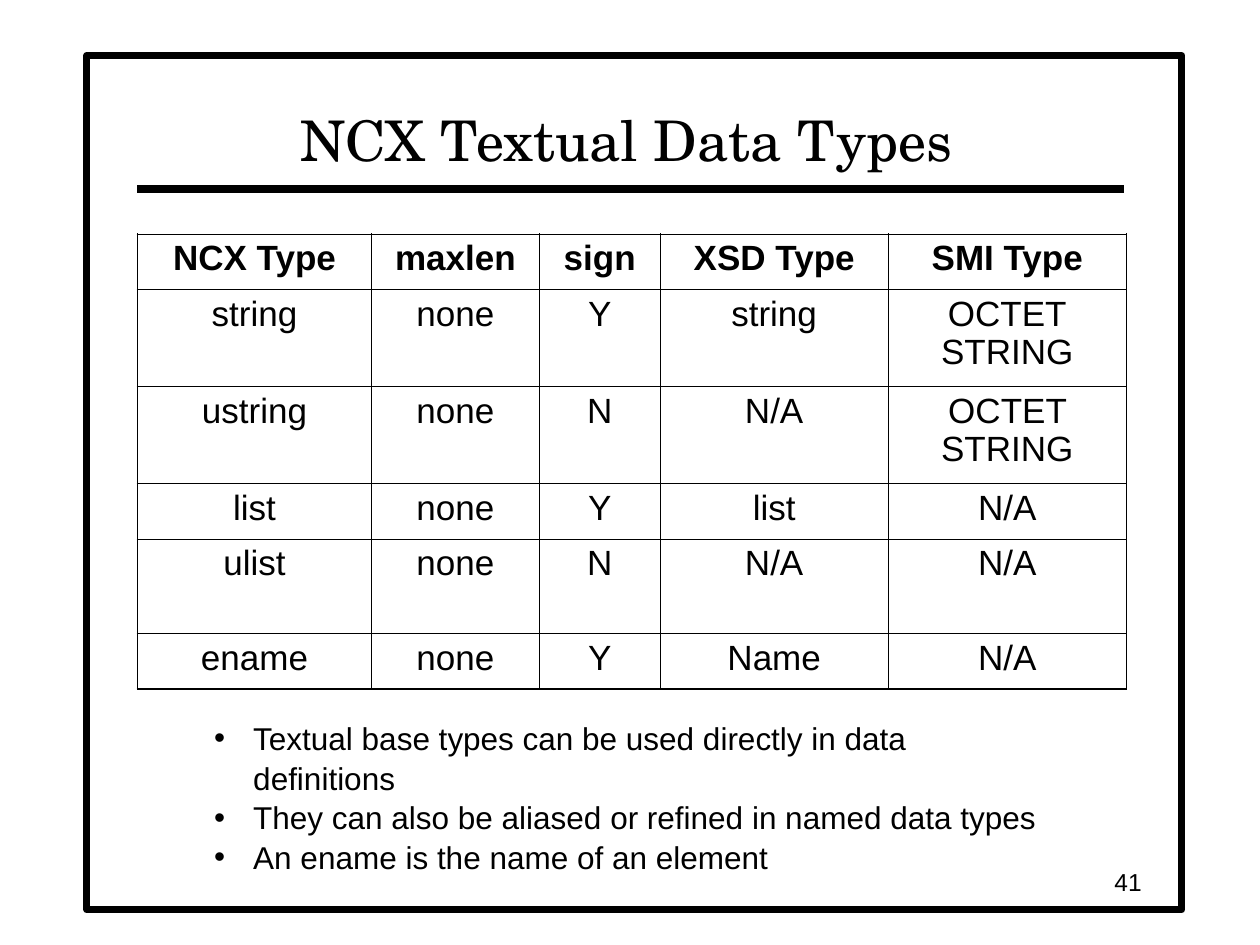
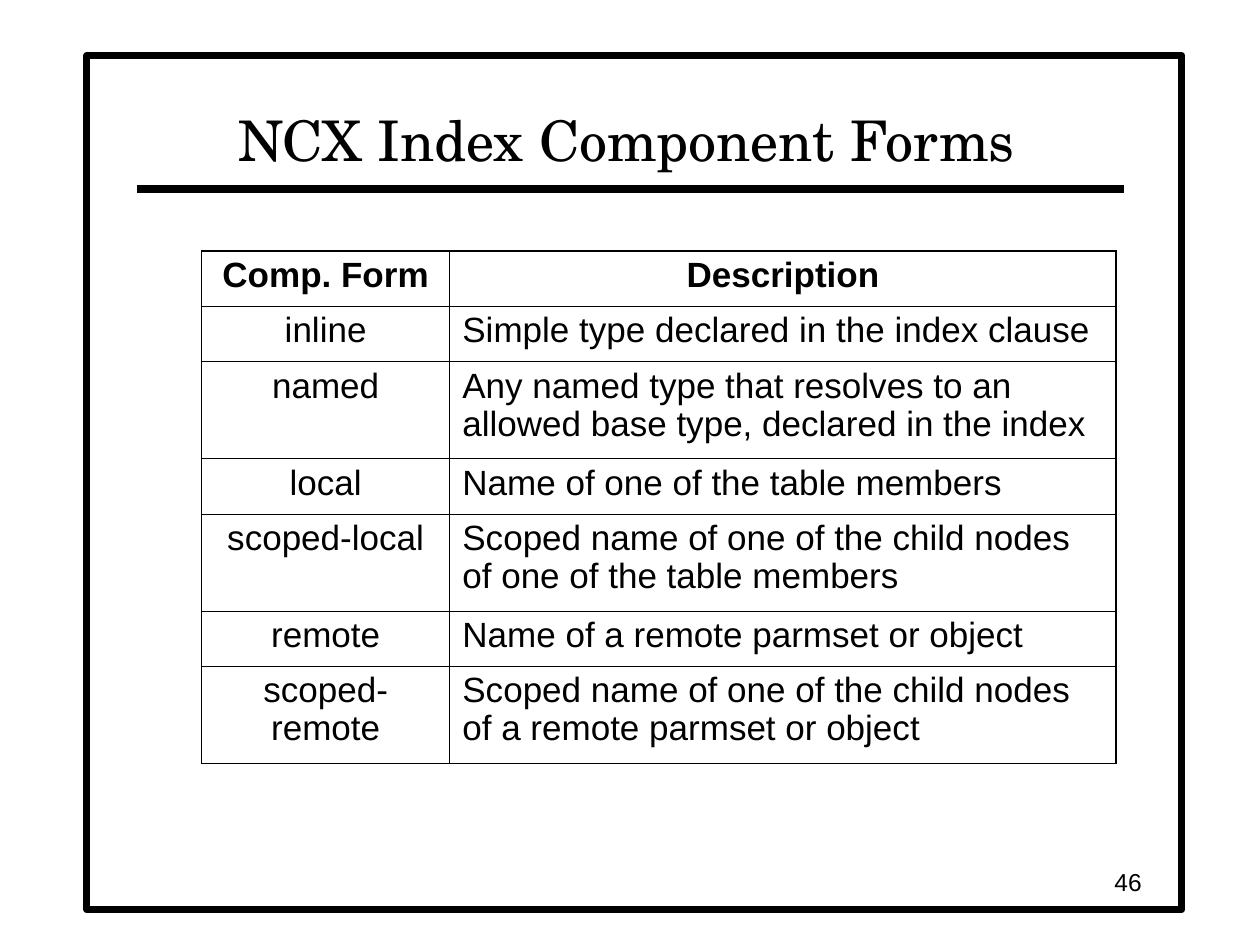
from dataclasses import dataclass

from lxml.etree import SubElement
from pptx import Presentation
from pptx.dml.color import RGBColor
from pptx.enum.shapes import MSO_CONNECTOR, MSO_SHAPE
from pptx.enum.text import MSO_ANCHOR, MSO_AUTO_SIZE, PP_ALIGN
from pptx.oxml import parse_xml
from pptx.oxml.ns import nsdecls, qn
from pptx.util import Inches, Pt


@dataclass(frozen=True)
class Theme:
    ink: RGBColor = RGBColor(0, 0, 0)
    paper: RGBColor = RGBColor(255, 255, 255)
    title_font: str = "TeX Gyre Schola"
    body_font: str = "Arial"
    title_size: int = 32
    table_size: int = 20
    list_size: int = 18
    number_size: int = 14
    frame_width: float = 4
    rule_width: float = 4.5
    outer_border: float = 1.08
    inner_border: float = 0.45


@dataclass(frozen=True)
class Box:
    left: float
    top: float
    width: float
    height: float

    def lengths(self):
        return [Inches(value) for value in (self.left, self.top, self.width, self.height)]


THEME = Theme()
FRAME = Box(0.69, 0.44, 8.69, 6.78)
RULE = Box(1.09, 1.5, 7.83, 0)
TITLE = Box(1.08, 0.5, 7.79, 0.92)
NUMBER = Box(7.08, 6.83, 2.08, 0.33)
TYPES_TABLE = Box(1.09, 1.86, 7.85, 3.59)
TYPES_NOTES = Box(1.6, 5.64, 6.76, 1.3)
FORMS_TABLE = Box(1.6, 1.99, 7.27, 4.03)

SINGLE, DOUBLE = 0.44, 0.77
BULLET_INDENT = 0.31

DATA_TYPES = [
    ("NCX Type", "maxlen", "sign", "XSD Type", "SMI Type"),
    ("string", "none", "Y", "string", "OCTET\vSTRING"),
    ("ustring", "none", "N", "N/A", "OCTET STRING"),
    ("list", "none", "Y", "list", "N/A"),
    ("ulist", "none", "N", "N/A", "N/A"),
    ("ename", "none", "Y", "Name", "N/A"),
]
TYPE_NOTES = [
    "Textual base types can be used directly in data definitions",
    "They can also be aliased or refined in named data types",
    "An ename is the name of an element",
]
COMPONENT_FORMS = [
    ("Comp. Form", "Description"),
    ("inline", "Simple type declared in the index clause"),
    ("named", "Any named type that resolves to an allowed base type, declared in the index"),
    ("local", "Name of one of the table members"),
    ("scoped-local", "Scoped name of one of the child nodes of one of the table members"),
    ("remote", "Name of a remote parmset or object"),
    ("scoped-remote", "Scoped name of one of the child nodes of a remote parmset or object"),
]


def format_text(text_frame, size, font=THEME.body_font, align=PP_ALIGN.LEFT, bold=False, spacing=1.0):
    for paragraph in text_frame.paragraphs:
        paragraph.alignment = align
        paragraph.space_before = Pt(0)
        paragraph.line_spacing = spacing
        for span in paragraph.runs:
            span.font.name = font
            span.font.size = Pt(size)
            span.font.bold = bold
            span.font.color.rgb = THEME.ink


def place(shape, box):
    shape.left, shape.top, shape.width, shape.height = box.lengths()


def decorate_master(deck, page):
    frame = page.shapes.add_shape(MSO_SHAPE.RECTANGLE, *FRAME.lengths())
    frame.shadow.inherit = False
    frame.fill.solid()
    frame.fill.fore_color.rgb = THEME.paper
    frame.line.color.rgb = THEME.ink
    frame.line.width = Pt(THEME.frame_width)

    left, top, width, height = RULE.lengths()
    rule = page.shapes.add_connector(MSO_CONNECTOR.STRAIGHT, left, top, left + width, top + height)
    rule.line.color.rgb = THEME.ink
    rule.line.width = Pt(THEME.rule_width)
    SubElement(rule._element.spPr, qn("a:effectLst"))

    master_tree = deck.slide_master.shapes._spTree
    for offset, shape in enumerate((frame, rule)):
        shape._element.xpath(".//p:cNvPr")[0].set("id", str(101 + offset))
        master_tree.insert(2 + offset, shape._element)


def fill_title(page, text):
    title = page.shapes.title
    place(title, TITLE)
    text_frame = title.text_frame
    text_frame.text = text
    text_frame.vertical_anchor = MSO_ANCHOR.BOTTOM
    text_frame.auto_size = MSO_AUTO_SIZE.NONE
    format_text(text_frame, THEME.title_size, THEME.title_font, PP_ALIGN.CENTER)


def add_number(page, number):
    text_frame = page.shapes.add_textbox(*NUMBER.lengths()).text_frame
    text_frame.word_wrap = True
    text_frame.vertical_anchor = MSO_ANCHOR.MIDDLE
    text_frame.text = str(number)
    format_text(text_frame, THEME.number_size, align=PP_ALIGN.RIGHT)


def set_borders(cell, outer_sides):
    properties = cell._tc.get_or_add_tcPr()
    for index, side in enumerate("LRTB"):
        width = THEME.outer_border if side in outer_sides else THEME.inner_border
        properties.insert(index, parse_xml(
            f'<a:ln{side} {nsdecls("a")} w="{Pt(width)}"><a:solidFill>'
            f'<a:srgbClr val="{THEME.ink}"/></a:solidFill></a:ln{side}>'))


def add_grid(page, box, rows, widths, heights, aligns):
    table = page.shapes.add_table(len(rows), len(widths), *box.lengths()).table
    table.first_row = table.horz_banding = False
    for column, width in zip(table.columns, widths):
        column.width = Inches(width)
    for row, height in zip(table.rows, heights):
        row.height = Inches(height)
    last_row, last_column = len(rows) - 1, len(widths) - 1
    for row_index, values in enumerate(rows):
        header = row_index == 0
        for column_index, value in enumerate(values):
            cell = table.cell(row_index, column_index)
            cell.text_frame.text = value
            align = PP_ALIGN.CENTER if header else aligns[column_index]
            format_text(cell.text_frame, THEME.table_size, align=align, bold=header, spacing=0.97)
            cell.fill.background()
            edges = {"L": column_index == 0, "R": column_index == last_column,
                     "T": header, "B": row_index == last_row}
            set_borders(cell, [side for side, outer in edges.items() if outer])


def fill_notes(page, box, notes):
    body = page.placeholders[1]
    place(body, box)
    text_frame = body.text_frame
    text_frame.text = "\n".join(notes)
    text_frame.auto_size = MSO_AUTO_SIZE.NONE
    for paragraph in text_frame.paragraphs:
        properties = paragraph._p.get_or_add_pPr()
        properties.set("marL", str(Inches(BULLET_INDENT)))
        properties.set("indent", str(-Inches(BULLET_INDENT)))
    format_text(text_frame, THEME.list_size, spacing=1.05)


def build_data_types(page):
    fill_title(page, "NCX Textual Data Types")
    add_grid(page, TYPES_TABLE, DATA_TYPES, (1.86, 1.33, 0.96, 1.81, 1.89),
             (SINGLE, DOUBLE, DOUBLE, SINGLE, 0.75, SINGLE), [PP_ALIGN.CENTER] * 5)
    fill_notes(page, TYPES_NOTES, TYPE_NOTES)
    add_number(page, 41)


def build_component_forms(page):
    fill_title(page, "NCX Index Component Forms")
    add_grid(page, FORMS_TABLE, COMPONENT_FORMS, (1.97, 5.29),
             (SINGLE, SINGLE, DOUBLE, SINGLE, DOUBLE, SINGLE, DOUBLE),
             (PP_ALIGN.CENTER, PP_ALIGN.LEFT))
    add_number(page, 46)


def main():
    deck = Presentation()
    deck.slide_width, deck.slide_height = Inches(10), Inches(7.5)
    types_page = deck.slides.add_slide(deck.slide_layouts.get_by_name("Title and Content"))
    forms_page = deck.slides.add_slide(deck.slide_layouts.get_by_name("Title Only"))
    decorate_master(deck, types_page)
    build_data_types(types_page)
    build_component_forms(forms_page)
    deck.save("out.pptx")


if __name__ == "__main__":
    main()
